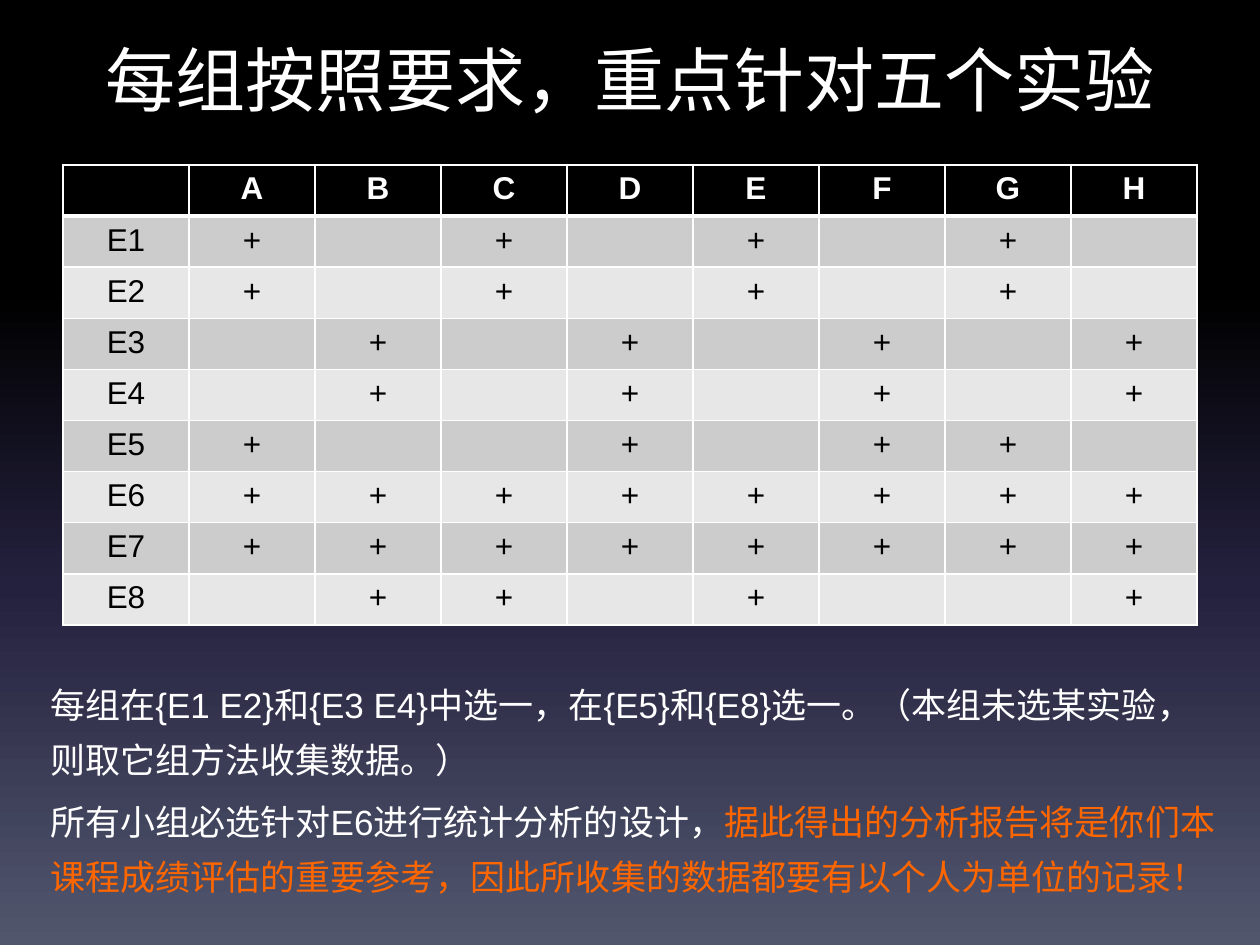
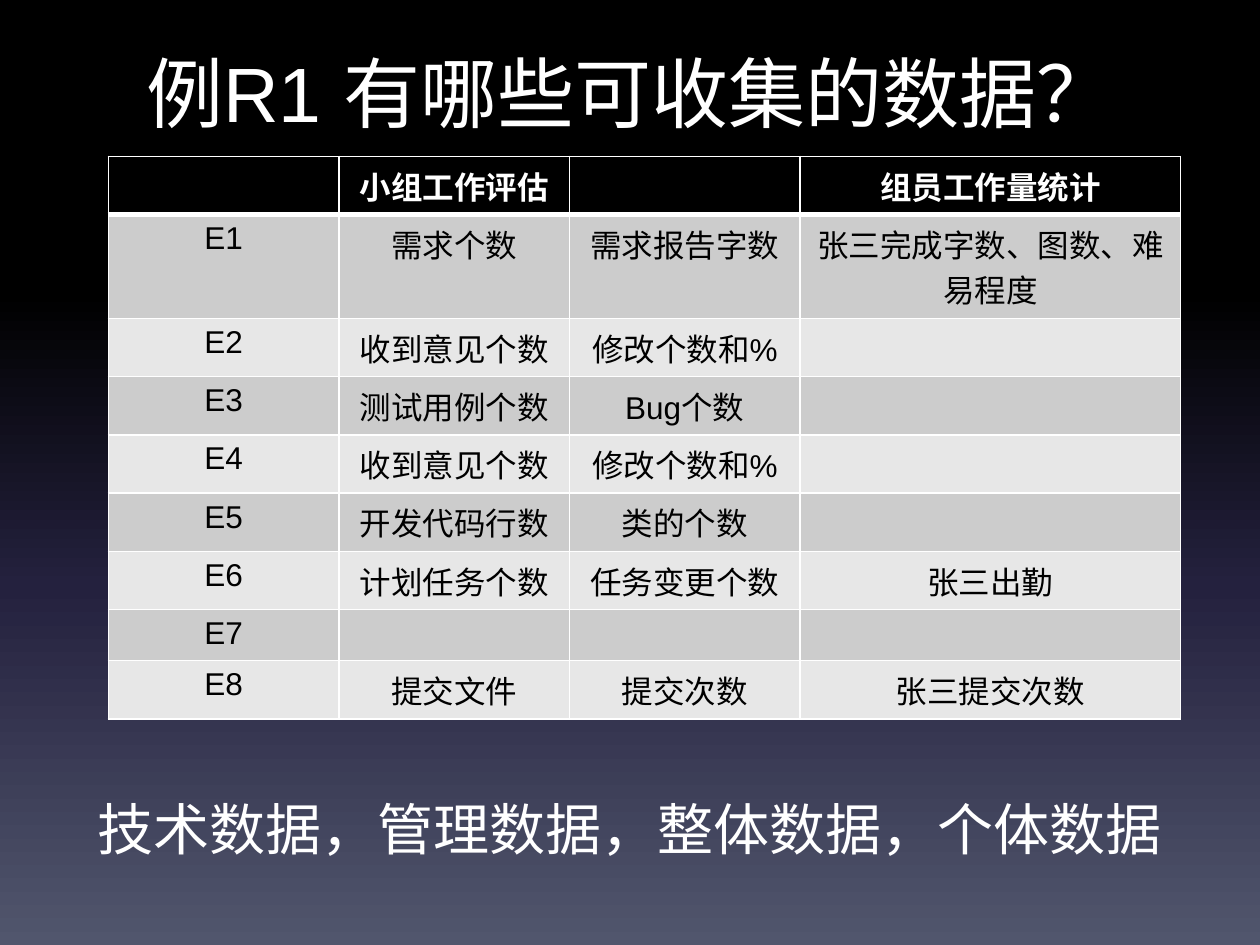
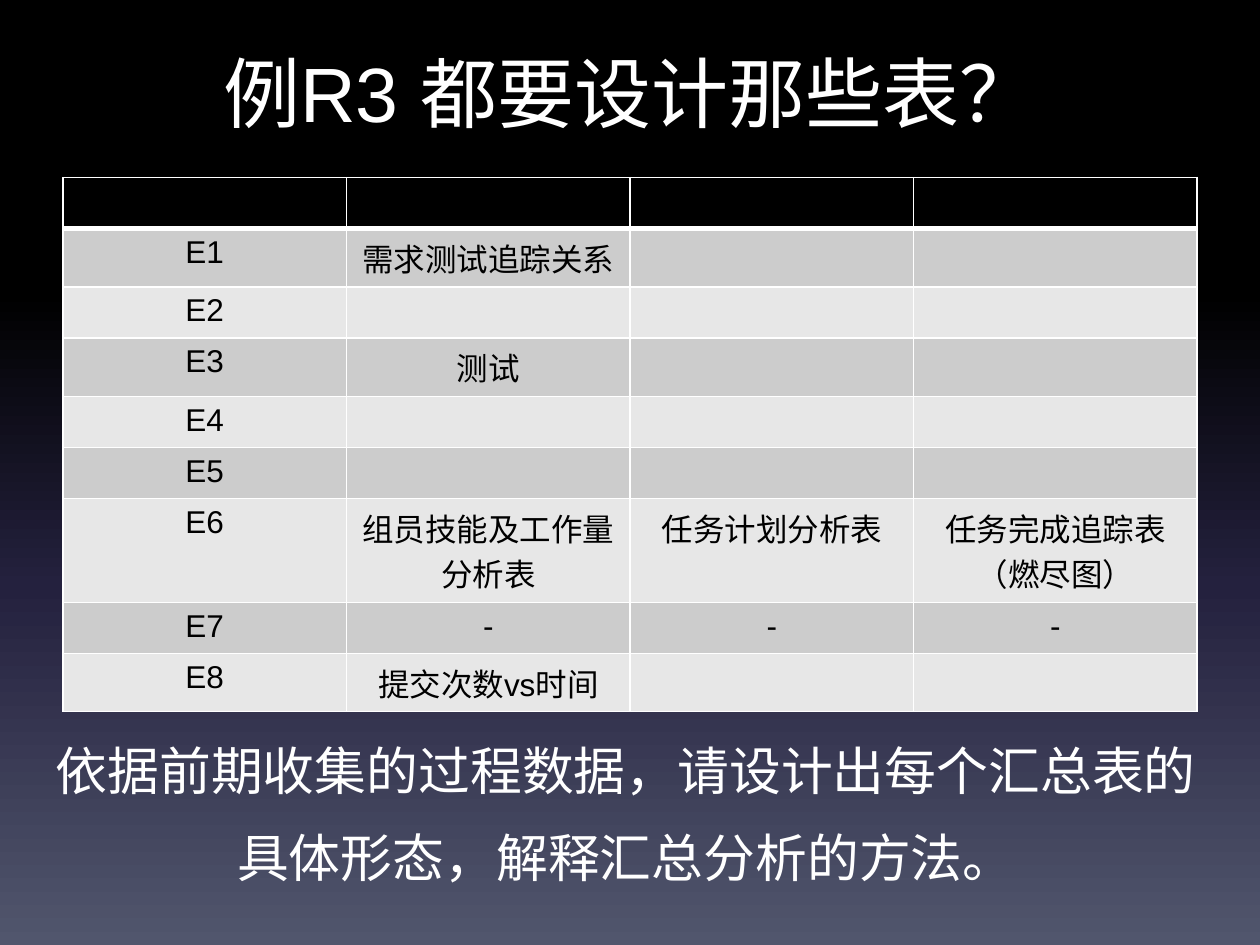
import math
from dataclasses import dataclass

import pptx
import pptx.dml.color
import pptx.enum.lang
import pptx.enum.text
import pptx.oxml
import pptx.oxml.ns
import pptx.util
from pptx.util import Inches

ALIGN = pptx.enum.text.PP_ALIGN
ANCHOR = pptx.enum.text.MSO_ANCHOR


@dataclass(frozen=True)
class Theme:
    """Colours, type sizes and line widths shared by the slides."""
    font: str = "Arial"
    light: str = "FFFFFF"
    dark: str = "000000"
    accent: str = "FF6600"
    bands: tuple = ("E7E7E7", "CCCCCC")
    gradient: tuple = ((0, "000000"), (31, "000000"), (62, "24213E"), (100, "51566D"))
    cell_size: float = 18
    cell_leading: float = 1.45
    note_size: float = 20
    rule: float = 1
    header_rule: float = 3


THEME = Theme()
EXPERIMENTS = [f"E{n}" for n in range(1, 9)]
GROUPS = "ABCDEFGH"
CHOSEN_BY = ["ACEG", "ACEG", "BDFH", "BDFH", "ADFG", GROUPS, GROUPS, "BCEH"]
COLLECTED_DATA = [
    ["需求个数", "需求报告字数", "张三完成字数、图数、难易程度"],
    ["收到意见个数", "修改个数和%", ""],
    ["测试用例个数", "Bug个数", ""],
    ["收到意见个数", "修改个数和%", ""],
    ["开发代码行数", "类的个数", ""],
    ["计划任务个数", "任务变更个数", "张三出勤"],
    ["", "", ""],
    ["提交文件", "提交次数", "张三提交次数"],
]
SUMMARY_TABLES = [
    ["需求测试追踪关系", "", ""],
    ["", "", ""],
    ["测试", "", ""],
    ["", "", ""],
    ["", "", ""],
    ["组员技能及工作量分析表", "任务计划分析表", "任务完成追踪表（燃尽图）"],
    ["-", "-", "-"],
    ["提交次数vs时间", "", ""],
]


def apply(obj, formats):
    """Set each named format value on an object."""
    for name, value in formats.items():
        setattr(obj, name, value)


def rgb(color):
    """Turn a hex string into a colour."""
    return pptx.dml.color.RGBColor.from_string(color)


def add_run(p, text, size, color=THEME.light, bold=False):
    """Append a formatted run to a paragraph."""
    r = p.add_run()
    r.text = text
    apply(r.font, {
        "name": THEME.font,
        "size": pptx.util.Pt(size),
        "bold": bold,
        "language_id": pptx.enum.lang.MSO_LANGUAGE_ID.SIMPLIFIED_CHINESE,
    })
    r.font.color.rgb = rgb(color)


def set_background(master):
    """Give the master its vertical gradient."""
    master.background.fill.gradient()
    grad = master.element.xpath(".//p:bg//a:gradFill")[0]
    stops = grad.find(pptx.oxml.ns.qn("a:gsLst"))
    stops.clear()
    for position, color in THEME.gradient:
        stops.append(pptx.oxml.parse_xml(
            f'<a:gs {pptx.oxml.ns.nsdecls("a")} pos="{position * 1000}">'
            f'<a:srgbClr val="{color}"/></a:gs>'))
    grad.find(pptx.oxml.ns.qn("a:lin")).set("ang", str(90 * 60000))


def add_titled_slide(prs, text, top=0.31, size=44):
    """Add a title-only slide with its placed and formatted title."""
    s = prs.slides.add_slide(prs.slide_layouts.get_by_name("Title Only"))
    sp = s.shapes.title
    apply(sp, {"left": Inches(0.5), "top": Inches(top),
               "width": Inches(9), "height": Inches(1.25)})
    tf = sp.text_frame
    apply(tf, {"vertical_anchor": ANCHOR.TOP, "word_wrap": True,
               "auto_size": pptx.enum.text.MSO_AUTO_SIZE.NONE})
    p = tf.paragraphs[0]
    p.alignment = ALIGN.CENTER
    add_run(p, text, size)
    return s


def add_note(s, box, paragraphs, size, line_spacing, alignment=ALIGN.CENTER):
    """Add a text box whose paragraphs are lists of (text, colour) runs."""
    tf = s.shapes.add_textbox(*map(Inches, box)).text_frame
    apply(tf, {"word_wrap": True, "vertical_anchor": ANCHOR.MIDDLE})
    for i, runs in enumerate(paragraphs):
        p = tf.add_paragraph() if i else tf.paragraphs[0]
        apply(p, {"alignment": alignment, "line_spacing": line_spacing,
                  "space_before": pptx.util.Pt(size * 0.22)})
        for text, color in runs:
            add_run(p, text, size, color)


def set_borders(cell, row):
    """Draw the cell's four sides, heavier below the header row."""
    widths = {
        "lnL": THEME.rule,
        "lnR": THEME.rule,
        "lnT": THEME.header_rule if row == 1 else THEME.rule,
        "lnB": THEME.header_rule if row == 0 else THEME.rule,
    }
    props = cell._tc.get_or_add_tcPr()
    for i, (side, width) in enumerate(widths.items()):
        props.insert(i, pptx.oxml.parse_xml(
            f'<a:{side} {pptx.oxml.ns.nsdecls("a")} w="{pptx.util.Pt(width)}">'
            f'<a:solidFill><a:srgbClr val="{THEME.light}"/></a:solidFill></a:{side}>'))


def cell_height(text, width):
    """Return the height in inches that a cell needs for its wrapped Chinese text."""
    if text.isascii():
        return 0
    em = THEME.cell_size / 72
    lines = math.ceil(len(text) * em / (width - 0.2))
    return 0.1 + lines * em * THEME.cell_leading


def add_experiment_table(s, left, top, widths, header, body):
    """Add a table with one row for each experiment under a header row."""
    rows = [["", *header]] + [[name, *cells] for name, cells in zip(EXPERIMENTS, body)]
    table = s.shapes.add_table(
        len(rows), len(widths), Inches(left), Inches(top),
        Inches(sum(widths)), Inches(3.65)).table
    table.horz_banding = False
    for column, width in zip(table.columns, widths):
        column.width = Inches(width)
    for i, row in enumerate(rows):
        is_header = i == 0
        needed = max(map(cell_height, row, widths))
        table.rows[i].height = max(table.rows[i].height, Inches(needed))
        for j, text in enumerate(row):
            cell = table.cell(i, j)
            cell.fill.solid()
            cell.fill.fore_color.rgb = rgb(THEME.dark if is_header else THEME.bands[i % 2])
            set_borders(cell, i)
            p = cell.text_frame.paragraphs[0]
            p.alignment = ALIGN.CENTER
            if text:
                add_run(p, text, THEME.cell_size,
                        THEME.light if is_header else THEME.dark, is_header)


def add_assignment_slide(prs):
    """Show which group takes which experiment."""
    s = add_titled_slide(prs, "每组按照要求，重点针对五个实验", 0.24, 40)
    marks = [["+" if g in chosen else "" for g in GROUPS] for chosen in CHOSEN_BY]
    add_experiment_table(s, 0.5, 1.31, [1] * 9, GROUPS, marks)
    add_note(s, (0.3, 5.14, 9.5, 2.17), [
        [("每组在{E1 E2}和{E3 E4}中选一，在{E5}和{E8}选一。"
          "（本组未选某实验，则取它组方法收集数据。）", THEME.light)],
        [("所有小组必选针对E6进行统计分析的设计，", THEME.light),
         ("据此得出的分析报告将是你们本课程成绩评估的重要参考，"
          "因此所收集的数据都要有以个人为单位的记录！", THEME.accent)],
    ], THEME.note_size, 1.3, ALIGN.LEFT)


def add_data_slide(prs):
    """Show the data that can be collected."""
    s = add_titled_slide(prs, "例R1 有哪些可收集的数据？")
    add_note(s, (0.5, 5.61, 9, 1.65),
             [[("技术数据，管理数据，整体数据，个体数据", THEME.light)]], 32, 1.5)
    add_experiment_table(s, 0.86, 1.24, [1.83, 1.83, 1.83, 3.02],
                         ["小组工作评估", "", "组员工作量统计"], COLLECTED_DATA)


def add_summary_slide(prs):
    """Show the summary tables to design."""
    s = add_titled_slide(prs, "例R3 都要设计那些表？")
    add_note(s, (0.27, 5.56, 9.4, 1.6),
             [[("依据前期收集的过程数据，请设计出每个汇总表的具体形态，"
                "解释汇总分析的方法。", THEME.light)]], 29.6, 1.4)
    add_experiment_table(s, 0.5, 1.41, [2.25] * 4, [""] * 3, SUMMARY_TABLES)


def main():
    """Build and save the slides."""
    prs = pptx.Presentation()
    apply(prs, {"slide_width": Inches(10), "slide_height": Inches(7.5)})
    set_background(prs.slide_master)
    add_assignment_slide(prs)
    add_data_slide(prs)
    add_summary_slide(prs)
    prs.save("out.pptx")


if __name__ == "__main__":
    main()
